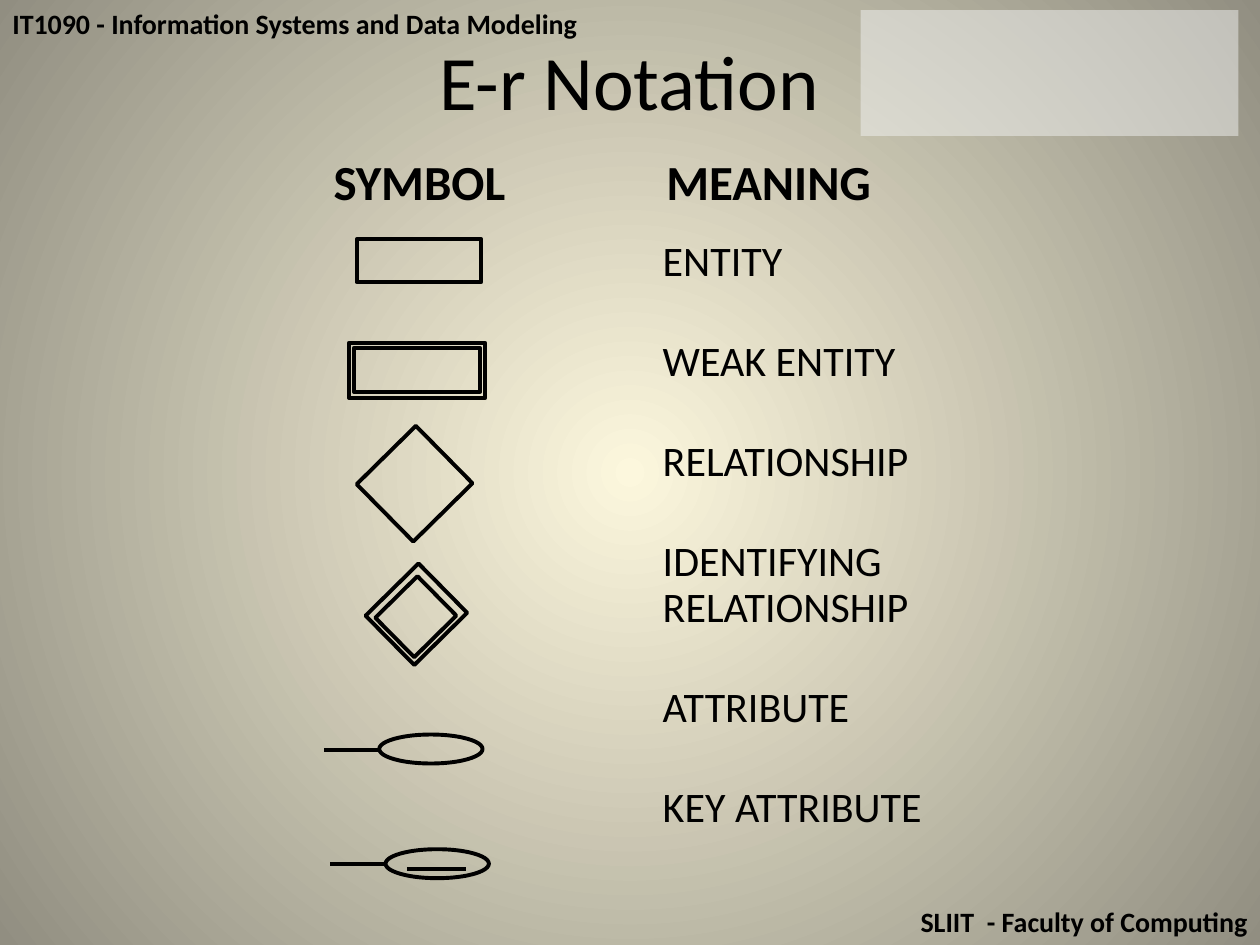
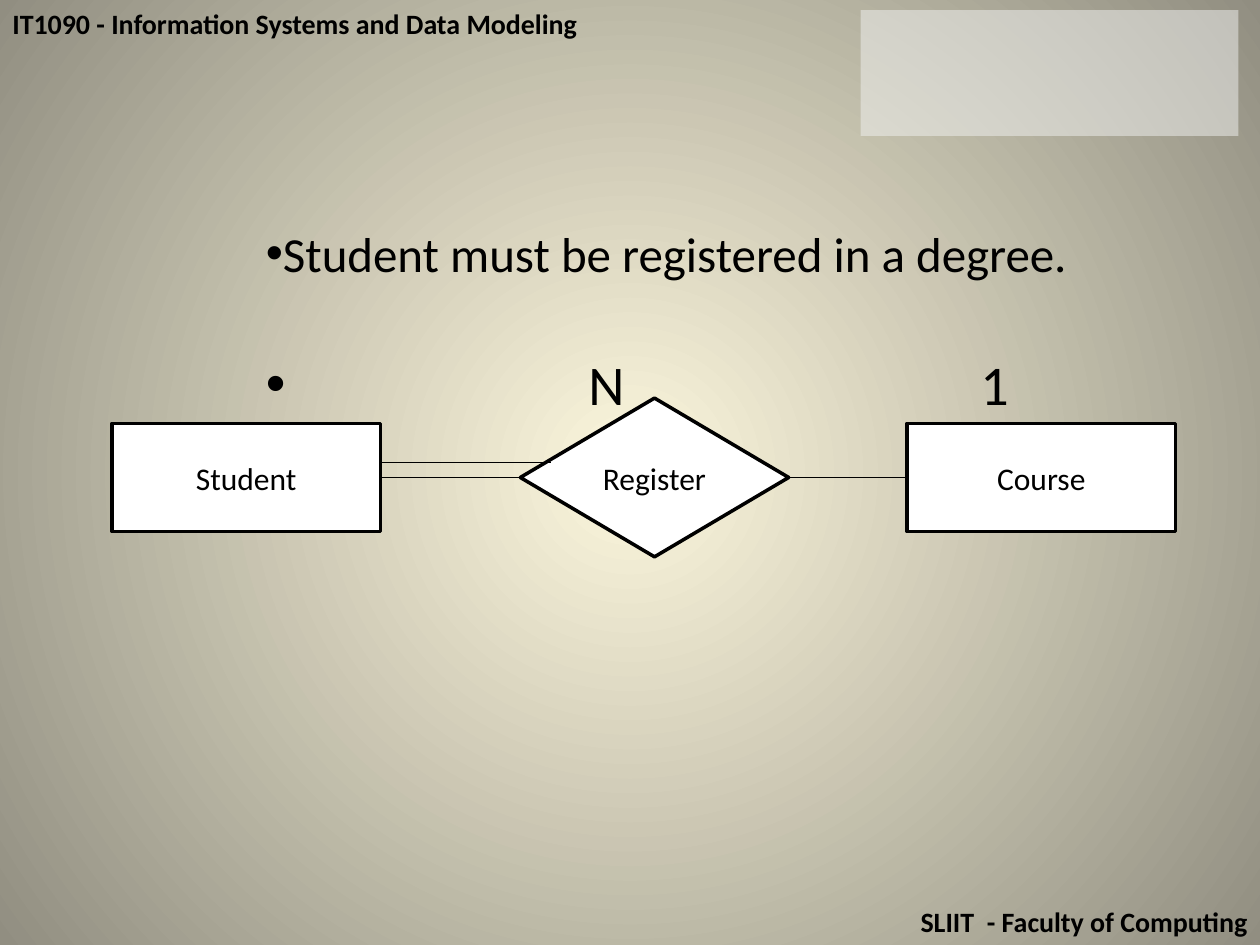
from lxml import etree
from pptx import Presentation
from pptx.dml.color import RGBColor
from pptx.enum.shapes import MSO_CONNECTOR, MSO_SHAPE
from pptx.enum.text import MSO_ANCHOR, MSO_AUTO_SIZE, PP_ALIGN
from pptx.oxml.ns import qn
from pptx.util import Inches, Pt

FONT = "Calibri"
COLORS = {
    "ink": "000000",
    "white": "FFFFFF",
    "panel": "F2F2F2",
    "glow": "FCF7DD",
    "edge": "918E81",
}
LEFT_SIDE, RIGHT_SIDE = 1, 3


def color(name):
    return RGBColor.from_string(COLORS[name])


def style_font(paragraph, size, bold=False):
    font = paragraph.font
    font.name, font.size, font.bold = FONT, Pt(size), bold
    font.color.rgb = color("ink")


def set_bullet(paragraph, character=None, tabs=()):
    """Set or clear the bullet, with no indent, and add left tab stops in inches."""
    properties = paragraph._p.get_or_add_pPr()
    properties.set("marL", "0")
    properties.set("indent", "0")
    if character:
        etree.SubElement(properties, qn("a:buChar")).set("char", character)
    else:
        etree.SubElement(properties, qn("a:buNone"))
    if tabs:
        tab_list = etree.SubElement(properties, qn("a:tabLst"))
        for position in tabs:
            tab = etree.SubElement(tab_list, qn("a:tab"))
            tab.set("pos", str(Inches(position)))
            tab.set("algn", "l")


def place(shape, left, top, width, height):
    shape.left, shape.top = Inches(left), Inches(top)
    shape.width, shape.height = Inches(width), Inches(height)
    shape.text_frame.auto_size = MSO_AUTO_SIZE.NONE


def add_label(slide, text, left, top, width, height, size, align=PP_ALIGN.LEFT):
    box = slide.shapes.add_textbox(Inches(left), Inches(top), Inches(width), Inches(height))
    box.text_frame.word_wrap = True
    paragraph = box.text_frame.paragraphs[0]
    paragraph.text, paragraph.alignment = text, align
    style_font(paragraph, size, bold=True)
    return box


def add_heading(slide, text, left, top):
    box = add_label(slide, text, left, top, 2.06, 0.47, 28)
    box.text_frame.margin_top = box.text_frame.margin_bottom = 0


def add_outline(slide, kind, left, top, width, height, fill=None, line_width=2.25, rotation=0):
    shape = slide.shapes.add_shape(kind, Inches(left), Inches(top), Inches(width), Inches(height))
    shape.shadow.inherit = False
    shape.rotation = rotation
    if fill:
        shape.fill.solid()
        shape.fill.fore_color.rgb = color(fill)
    else:
        shape.fill.background()
    shape.line.color.rgb = color("ink")
    shape.line.width = Pt(line_width)
    return shape


def add_node(slide, kind, text, left, top, width, height):
    node = add_outline(slide, kind, left, top, width, height, "white", 2)
    node.text_frame.vertical_anchor = MSO_ANCHOR.MIDDLE
    paragraph = node.text_frame.paragraphs[0]
    paragraph.text, paragraph.alignment = text, PP_ALIGN.CENTER
    style_font(paragraph, 18)
    return node


def add_line(slide, start_x, end_x, y, width):
    line = slide.shapes.add_connector(
        MSO_CONNECTOR.STRAIGHT, Inches(start_x), Inches(y), Inches(end_x), Inches(y))
    line.line.color.rgb = color("ink")
    line.line.width = Pt(width)
    etree.SubElement(line._element.spPr, qn("a:effectLst"))
    return line


def join(slide, left_node, right_node):
    line = add_line(slide, 0, 1, 0, 0.75)
    line.begin_connect(left_node, RIGHT_SIDE)
    line.end_connect(right_node, LEFT_SIDE)


def set_background(master):
    """Fill the master with a gradient that spreads from the centre."""
    fill = master.background.fill
    fill.gradient()
    for stop, name in zip(fill.gradient_stops, ("glow", "edge")):
        stop.color.rgb = color(name)
    gradient = master.element.xpath(".//p:bg//a:gradFill")[0]
    for linear in gradient.findall(qn("a:lin")):
        gradient.remove(linear)
    circle = etree.SubElement(gradient, qn("a:path"))
    circle.set("path", "circle")
    centre = etree.SubElement(circle, qn("a:fillToRect"))
    for side in "ltrb":
        centre.set(side, "50000")


def move_to_master(master, shapes):
    for shape_id, shape in enumerate(shapes, start=101):
        shape.element.xpath(".//p:cNvPr")[0].set("id", str(shape_id))
        master.shapes.element.append(shape.element)


def build_master(master, slide):
    """Draw the shared parts on a slide and hand them to the master."""
    set_background(master)
    header = add_label(slide, "IT1090 - Information Systems and Data Modeling", 0, 0, 10, 0.37, 16)
    footer = add_label(slide, "SLIIT  - Faculty of Computing", 0, 7.13, 10, 0.37, 16, PP_ALIGN.RIGHT)
    panel = add_outline(slide, MSO_SHAPE.RECTANGLE, 6.83, 0.08, 3, 1, "panel")
    panel.line.fill.background()
    panel_color = panel.element.xpath("./p:spPr/a:solidFill/a:srgbClr")[0]
    etree.SubElement(panel_color, qn("a:alpha")).set("val", "50000")
    move_to_master(master, (header, footer, panel))


def add_attribute_symbol(slide, left, top):
    add_outline(slide, MSO_SHAPE.OVAL, left, top, 0.82, 0.23)
    add_line(slide, left, left - 0.44, top + 0.12, 2.25)


def build_notation(slide):
    title = slide.shapes.title
    place(title, 1.51, 0.26, 6.97, 0.75)
    title.text_frame.margin_top = title.text_frame.margin_bottom = 0
    title.text_frame.text = "E-r Notation"
    style_font(title.text_frame.paragraphs[0], 44)

    add_heading(slide, "SYMBOL", 2.55, 1.2)
    add_heading(slide, "MEANING", 5.19, 1.2)

    meanings = slide.placeholders[1]
    place(meanings, 5.16, 1.86, 3.45, 5.27)
    meanings.text_frame.text = "\n".join((
        "ENTITY", "WEAK ENTITY", "RELATIONSHIP",
        "IDENTIFYING RELATIONSHIP", "ATTRIBUTE", "KEY ATTRIBUTE"))
    for paragraph in meanings.text_frame.paragraphs:
        set_bullet(paragraph)
        paragraph.line_spacing = 0.9
        paragraph.space_before, paragraph.space_after = Pt(0), Pt(31.2)
        style_font(paragraph, 24)

    entity_boxes = ((2.83, 1.9, 0.99, 0.34), (2.81, 2.76, 1, 0.35), (2.77, 2.72, 1.08, 0.44))
    relationship_boxes = ((2.97, 3.51, 0.64, 0.66), (3.08, 4.66, 0.44, 0.47), (3.03, 4.58, 0.55, 0.59))
    for boxes, rotation in ((entity_boxes, 0), (relationship_boxes, 45.4)):
        for box in boxes:
            add_outline(slide, MSO_SHAPE.RECTANGLE, *box, rotation=rotation)
    add_attribute_symbol(slide, 3.01, 5.83)
    add_attribute_symbol(slide, 3.06, 6.74)
    add_line(slide, 3.23, 3.7, 6.9, 2.25)


def build_example(slide):
    title = slide.shapes.title
    title.element.getparent().remove(title.element)

    body = slide.placeholders[1]
    place(body, 2.01, 1.72, 7.47, 3.38)
    body.text_frame.text = "Student must be registered in a degree.\n\tN\t1"
    rule, cardinalities = body.text_frame.paragraphs
    for paragraph, size, gap, tabs in ((rule, 28, 0, ()), (cardinalities, 32, 38.5, (2.56, 5.67))):
        paragraph.space_before = Pt(gap)
        set_bullet(paragraph, "•", tabs)
        style_font(paragraph, size)

    student = add_node(slide, MSO_SHAPE.RECTANGLE, "Student", 0.89, 3.36, 2.13, 0.86)
    course = add_node(slide, MSO_SHAPE.RECTANGLE, "Course", 7.2, 3.36, 2.13, 0.86)
    register = add_node(slide, MSO_SHAPE.DIAMOND, "Register", 4.13, 3.16, 2.13, 1.26)
    join(slide, student, register)
    join(slide, register, course)
    add_line(slide, 3.02, 4.37, 3.67, 0.75)


def main():
    presentation = Presentation()
    presentation.slide_width, presentation.slide_height = Inches(10), Inches(7.5)
    layout = presentation.slide_layouts.get_by_name("Title and Content")
    notation, example = (presentation.slides.add_slide(layout) for _ in range(2))
    build_master(presentation.slide_master, notation)
    build_notation(notation)
    build_example(example)
    presentation.save("out.pptx")


if __name__ == "__main__":
    main()
